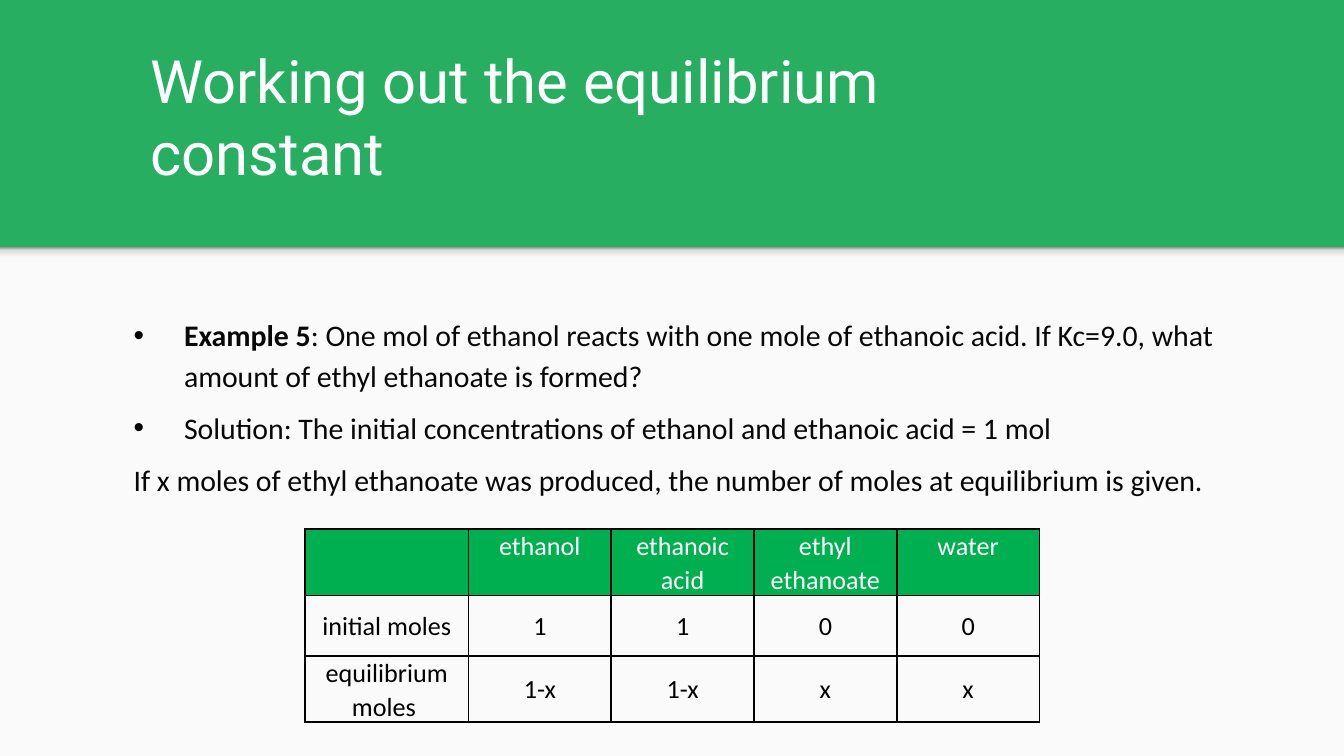
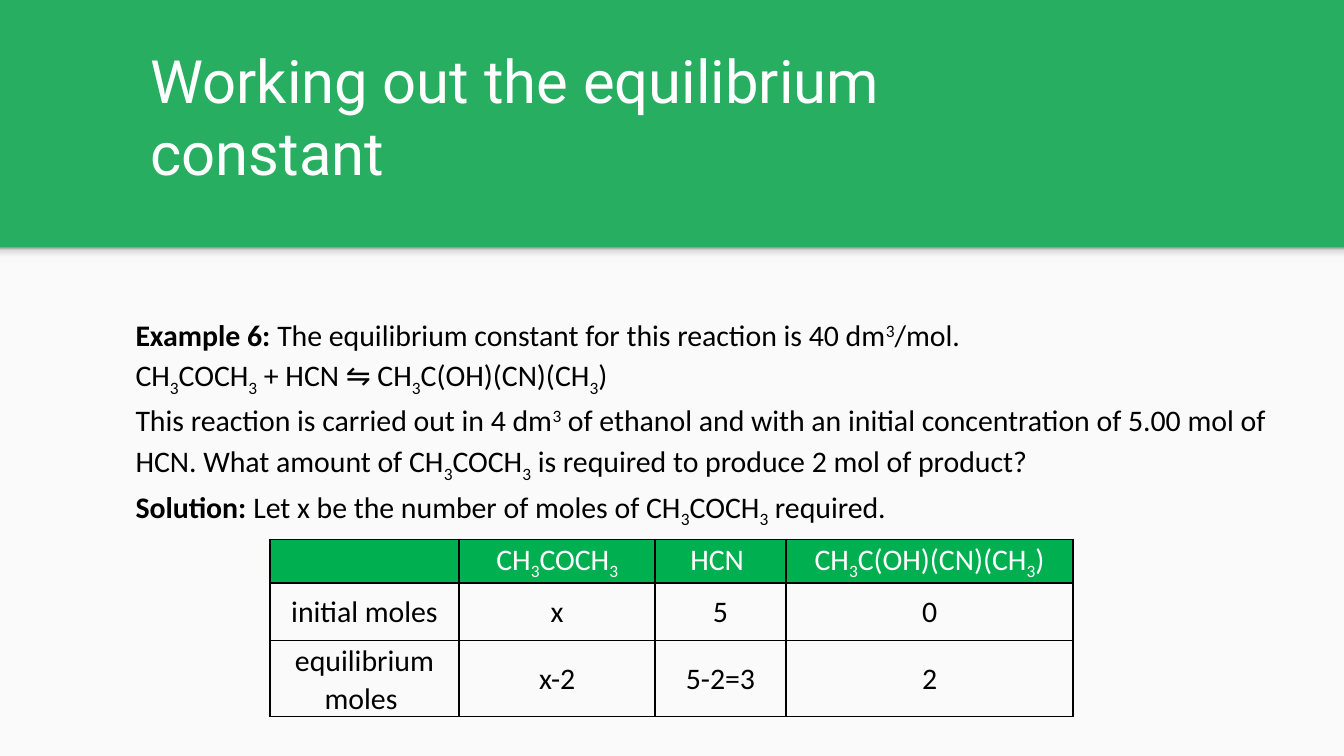
from dataclasses import dataclass
from pptx import Presentation
from pptx.dml.color import RGBColor
from pptx.enum.shapes import MSO_SHAPE
from pptx.enum.text import MSO_ANCHOR, PP_ALIGN
from pptx.oxml import parse_xml
from pptx.oxml.ns import nsdecls
from pptx.util import Pt


@dataclass(frozen=True)
class Theme:
    green: str = "27AE60"
    header: str = "00B050"
    paper: str = "FAFAFA"
    white: str = "FFFFFF"
    black: str = "000000"
    ink: str = "080808"
    shade: tuple = ((0, "F9F9F9"), (36, "F9F9F9"), (80, "DEDEDE"), (100, "999999"))
    title_font: str = "Roboto"
    body_font: str = "Calibri"
    title_size: int = 32
    body_size: int = 16


T = Theme()
TITLE = "Working out the equilibrium constant"
BULLET = (36, -27)

slides = [
    dict(
        ink=T.ink, line_spacing=1.14, gap=6,
        body=[
            ("*Example 5*: One mol of ethanol reacts with one mole of ethanoic acid. "
             "If Kc=9.0, what amount of ethyl ethanoate is formed?", BULLET, None),
            ("Solution: The initial concentrations of ethanol and ethanoic acid = 1 mol",
             BULLET, None),
            ("If x moles of ethyl ethanoate was produced, the number of moles at "
             "equilibrium is given.", (9, 0), None),
        ],
        table_at=(163.5, 283.5), table_size=14,
        cols=[87.5, 76.5, 76.5, 76.5, 76.5], rows=[28, 32.2, 32.2],
        cells=[
            ["", "ethanol", "ethanoic acid", "ethyl ethanoate", "water"],
            ["initial moles", "1", "1", "0", "0"],
            ["equilibrium moles ", "1-x", "1-x", "x", "x"],
        ],
    ),
    dict(
        ink=T.black, line_spacing=1.12, gap=0,
        body=[
            ("*Example 6:* The equilibrium constant for this reaction is 40 dm^3/mol.",
             (10, 0), None),
            ("CH_3COCH_3 + HCN ⇋ CH_3C(OH)(CN)(CH_3)", (10, 0), None),
            ("This reaction is carried out in 4 dm^3 of ethanol and with an initial "
             "concentration of 5.00 mol of HCN. What amount of CH_3COCH_3 is required "
             "to produce 2 mol of product?", (10, 0), None),
            ("*Solution: *Let x be the number of moles of CH_3COCH_3 required.",
             (10, 0), PP_ALIGN.JUSTIFY),
        ],
        table_at=(144.5, 289), table_size=16,
        cols=[101.5, 105, 70, 154], rows=[23.2, 31, 31],
        cells=[
            ["", "CH_3COCH_3", "HCN ", "CH_3C(OH)(CN)(CH_3)"],
            ["initial moles", "x", "5", "0"],
            ["equilibrium moles ", "x-2", "5-2=3", "2"],
        ],
    ),
]


def add_runs(p, text, font, size, color):
    for i, span in enumerate(text.split("*")):
        for part in span.replace("_3", "|_3|").replace("^3", "|^3|").split("|"):
            if not part:
                continue
            r = p.add_run()
            r.text = part.lstrip("_^")
            r.font.name = font
            r.font.size = Pt(size)
            r.font.bold = i % 2 == 1
            r.font.color.rgb = RGBColor.from_string(color)
            if part[0] in "_^":
                r.font._element.set("baseline", "-25000" if part[0] == "_" else "30000")


def add_box(s, left, top, width, height, anchor):
    tf = s.shapes.add_textbox(Pt(left), Pt(top), Pt(width), Pt(height)).text_frame
    tf.word_wrap = True
    tf.vertical_anchor = anchor
    tf.margin_left = tf.margin_right = tf.margin_top = tf.margin_bottom = Pt(7.2)
    return tf


prs = Presentation()
prs.slide_width, prs.slide_height = Pt(720), Pt(405)
bg = prs.slide_master.background.fill
bg.solid()
bg.fore_color.rgb = RGBColor.from_string(T.green)

for d in slides:
    s = prs.slides.add_slide(prs.slide_layouts[6])

    paper, shade = [
        s.shapes.add_shape(MSO_SHAPE.RECTANGLE, 0, Pt(132.5), Pt(720), Pt(h))
        for h in (272.5, 8.6)
    ]
    for sp in (paper, shade):
        sp.shadow.inherit = False
        sp.line.fill.background()
    paper.fill.solid()
    paper.fill.fore_color.rgb = RGBColor.from_string(T.paper)
    shade.fill.gradient()
    shade.fill.gradient_angle = 90
    stops = shade.fill.gradient_stops[0]._gs.getparent()
    for gs in list(stops):
        stops.remove(gs)
    for pos, color in T.shade:
        stops.append(parse_xml(
            f'<a:gs {nsdecls("a")} pos="{pos * 1000}"><a:srgbClr val="{color}"/></a:gs>'))

    tf = add_box(s, 73.5, 47, 497, 60.5, MSO_ANCHOR.BOTTOM)
    add_runs(tf.paragraphs[0], TITLE, T.title_font, T.title_size, T.white)

    tf = add_box(s, 55.5, 160, 644.5, 196.5, MSO_ANCHOR.TOP)
    for i, (text, (margin, indent), align) in enumerate(d["body"]):
        p = tf.add_paragraph() if i else tf.paragraphs[0]
        pPr = p._p.get_or_add_pPr()
        pPr.set("marL", str(Pt(margin)))
        pPr.set("indent", str(Pt(indent)))
        if indent:
            for xml in (f'<a:buClr {nsdecls("a")}><a:srgbClr val="{T.black}"/></a:buClr>',
                        f'<a:buFont {nsdecls("a")} typeface="Arial"/>',
                        f'<a:buChar {nsdecls("a")} char="•"/>'):
                pPr.append(parse_xml(xml))
        p.alignment = align
        p.line_spacing = d["line_spacing"]
        p.space_before = Pt(d["gap"] if i else 0)
        add_runs(p, text, T.body_font, T.body_size, d["ink"])

    left, top = d["table_at"]
    table = s.shapes.add_table(
        len(d["rows"]), len(d["cols"]), Pt(left), Pt(top),
        Pt(sum(d["cols"])), Pt(sum(d["rows"]))).table
    table.first_row = table.horz_banding = False
    for col, width in zip(table.columns, d["cols"]):
        col.width = Pt(width)
    for i, (row, height) in enumerate(zip(table.rows, d["rows"])):
        row.height = Pt(height)
        for cell, text in zip(row.cells, d["cells"][i]):
            cell.margin_left = cell.margin_right = Pt(4.5)
            cell.margin_top = cell.margin_bottom = 0
            cell.vertical_anchor = MSO_ANCHOR.MIDDLE if i else MSO_ANCHOR.TOP
            tcPr = cell._tc.get_or_add_tcPr()
            for side in "LRTB":
                tcPr.append(parse_xml(
                    f'<a:ln{side} {nsdecls("a")} w="{Pt(1)}"><a:solidFill>'
                    f'<a:srgbClr val="{T.black}"/></a:solidFill></a:ln{side}>'))
            if i:
                cell.fill.background()
            else:
                cell.fill.solid()
                cell.fill.fore_color.rgb = RGBColor.from_string(T.header)
            p = cell.text_frame.paragraphs[0]
            p.alignment = PP_ALIGN.CENTER
            p.line_spacing = 1.06
            add_runs(p, text, T.body_font, d["table_size"], T.black if i else T.white)

prs.save("out.pptx")
